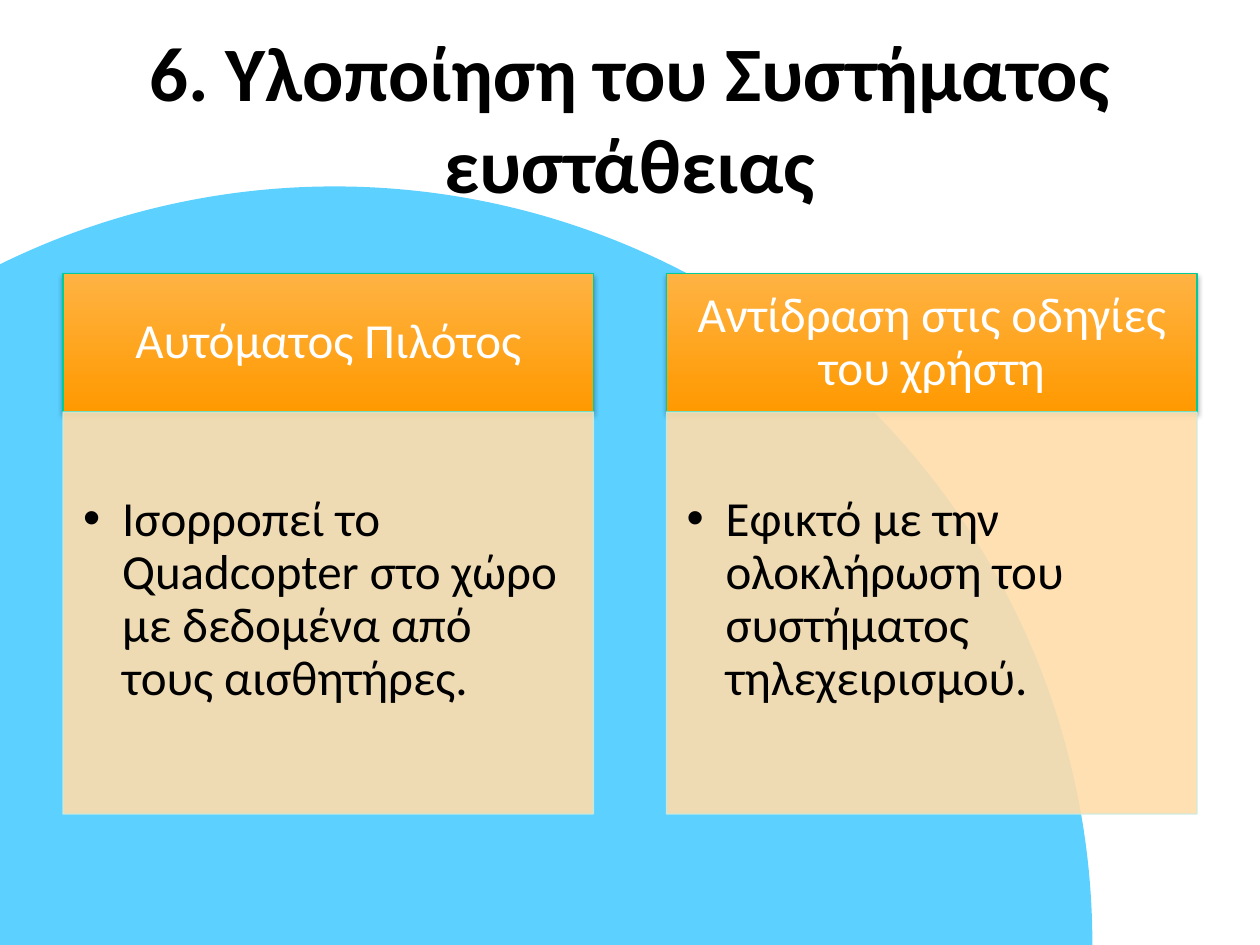
from lxml.etree import SubElement
from pptx import Presentation
from pptx.dml.color import RGBColor
from pptx.enum.shapes import MSO_SHAPE
from pptx.enum.text import MSO_ANCHOR, MSO_AUTO_SIZE, PP_ALIGN
from pptx.oxml.ns import qn
from pptx.util import Inches, Pt

COLORS = {
    "circle": "00B8FF",
    "dark_text": "000000",
    "heading_text": "FFFFFF",
    "heading_dark": "FF9900",
    "heading_light": "FFB343",
    "heading_line": "00CC99",
    "body_fill": "FFDDAB",
    "body_line": "CCECDE",
    "shadow": "000000",
}
COLUMNS = [
    ("Αυτόματος Πιλότος",
     "Ισορροπεί το Quadcopter στο χώρο με δεδομένα από τους αισθητήρες."),
    ("Αντίδραση στις οδηγίες του χρήστη",
     "Εφικτό με την ολοκλήρωση του συστήματος τηλεχειρισμού."),
]
COLUMN_LEFT, COLUMN_STEP, COLUMN_WIDTH = 0.5, 4.79, 4.21
HEADING_TOP, HEADING_HEIGHT = 2.17, 1.1
BODY_TOP, BODY_HEIGHT = 3.27, 3.19


def color(name):
    return RGBColor.from_string(COLORS[name])


def set_opacity(shape_properties, percent):
    """Make the solid fill of a shape or line partly transparent."""
    element = shape_properties.find(qn("a:solidFill"))[0]
    SubElement(element, qn("a:alpha"), val=str(percent * 1000))


class SlideBuilder:
    font = "Calibri"

    def __init__(self, slide):
        self.slide = slide

    def place(self, shape, left, top, width, height):
        shape.left, shape.top = Inches(left), Inches(top)
        shape.width, shape.height = Inches(width), Inches(height)

    def add_text(self, shape, text, size, color_name, anchor, margins, bold=False):
        frame = shape.text_frame
        frame.word_wrap = True
        frame.auto_size = MSO_AUTO_SIZE.NONE
        frame.vertical_anchor = anchor
        (frame.margin_left, frame.margin_top,
         frame.margin_right, frame.margin_bottom) = map(Inches, margins)
        paragraph = frame.paragraphs[0]
        paragraph.space_before = Pt(0)
        run = paragraph.add_run()
        run.text = text
        run.font.name, run.font.size, run.font.bold = self.font, Pt(size), bold
        run.font.color.rgb = color(color_name)
        return paragraph

    def circle(self, left, top, diameter):
        shape = self.slide.shapes.add_shape(
            MSO_SHAPE.OVAL, Inches(left), Inches(top), Inches(diameter), Inches(diameter))
        shape.shadow.inherit = False
        shape.fill.solid()
        shape.fill.fore_color.rgb = color("circle")
        set_opacity(shape._element.spPr, 64)
        shape.line.fill.background()
        # Send behind the placeholders
        self.slide.shapes._spTree.insert(2, shape._element)

    def title(self, text):
        shape = self.slide.shapes.title
        self.place(shape, 0.5, 0.3, 9, 1.25)
        paragraph = self.add_text(shape, text, 44, "dark_text", MSO_ANCHOR.MIDDLE,
                                  (0.1, 0.05, 0.1, 0.05), bold=True)
        paragraph.alignment = PP_ALIGN.CENTER

    def heading(self, shape, left, text):
        self.place(shape, left, HEADING_TOP, COLUMN_WIDTH, HEADING_HEIGHT)
        shape.fill.gradient()
        shape.fill.gradient_angle = 90
        for stop, name in zip(shape.fill.gradient_stops, ("heading_dark", "heading_light")):
            stop.color.rgb = color(name)
        shape.line.color.rgb = color("heading_line")
        shape.line.width = Pt(0.75)
        self.drop_shadow(shape)
        paragraph = self.add_text(shape, text, 28, "heading_text", MSO_ANCHOR.MIDDLE,
                                  (0.22, 0.12, 0.22, 0.12))
        paragraph.alignment = PP_ALIGN.CENTER
        paragraph.line_spacing = 0.9

    def drop_shadow(self, shape):
        effects = SubElement(shape._element.spPr, qn("a:effectLst"))
        shadow = SubElement(effects, qn("a:outerShdw"), blurRad=str(Pt(3.1)),
                            dist=str(Pt(1.8)), dir="5400000", rotWithShape="0")
        shade = SubElement(shadow, qn("a:srgbClr"), val=COLORS["shadow"])
        SubElement(shade, qn("a:alpha"), val="35000")

    def body(self, shape, left, text):
        self.place(shape, left, BODY_TOP, COLUMN_WIDTH, BODY_HEIGHT)
        shape.fill.solid()
        shape.fill.fore_color.rgb = color("body_fill")
        shape.line.color.rgb = color("body_line")
        shape.line.width = Pt(0.75)
        shape_properties = shape._element.spPr
        for part in (shape_properties, shape_properties.find(qn("a:ln"))):
            set_opacity(part, 90)
        paragraph = self.add_text(shape, text, 28, "dark_text", MSO_ANCHOR.TOP,
                                  (0.16, 0.65, 0.22, 0.24))
        paragraph.line_spacing = 0.9
        properties = paragraph._p.get_or_add_pPr()
        properties.set("marL", str(Inches(0.31)))
        properties.set("indent", str(Inches(-0.31)))
        SubElement(properties, qn("a:buChar"), char="•")


def main():
    presentation = Presentation()
    presentation.slide_width, presentation.slide_height = Inches(10), Inches(7.5)
    # Comparison layout: a title and two headed columns
    slide = presentation.slides.add_slide(presentation.slide_layouts[4])
    builder = SlideBuilder(slide)

    # Background and title
    builder.circle(-3.36, 1.48, 12.03)
    builder.title("6. Υλοποίηση του Συστήματος ευστάθειας")

    # Columns
    for index, (heading, text) in enumerate(COLUMNS):
        left = COLUMN_LEFT + index * COLUMN_STEP
        builder.heading(slide.placeholders[2 * index + 1], left, heading)
        builder.body(slide.placeholders[2 * index + 2], left, text)

    presentation.save("out.pptx")


if __name__ == "__main__":
    main()
